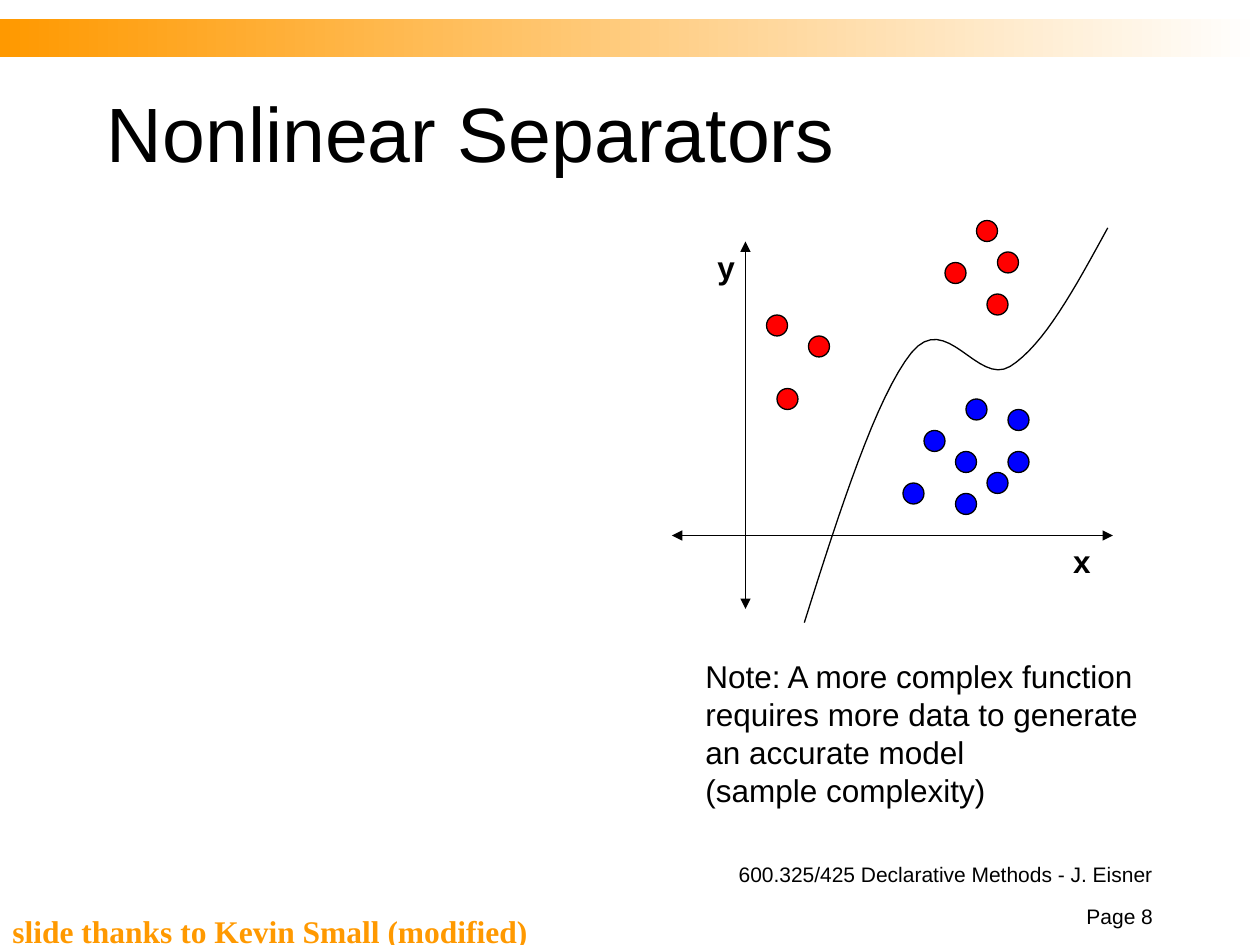
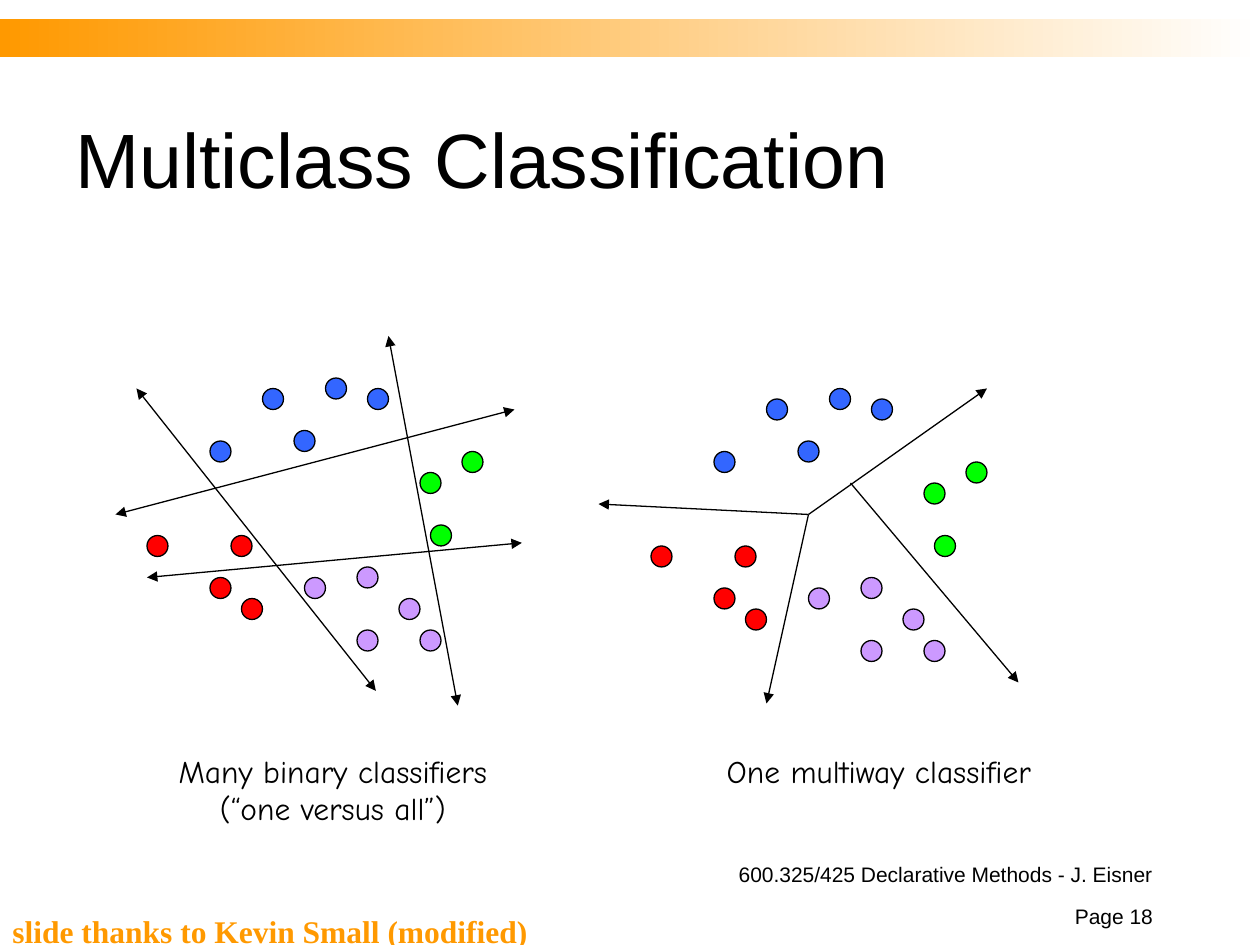
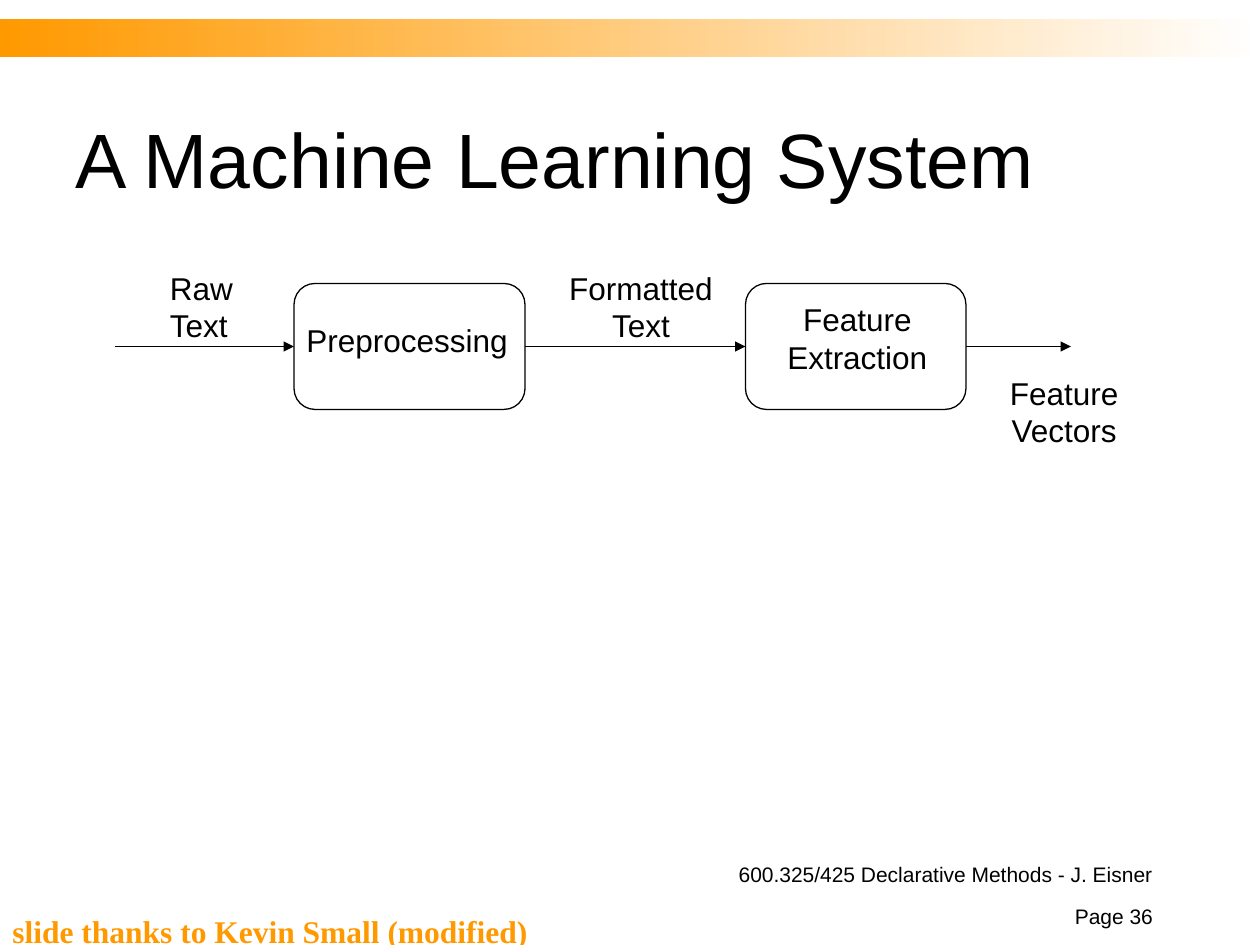
"""Build three machine learning lecture slides on a grid of twelfths of an inch."""
from dataclasses import dataclass

from lxml.etree import SubElement
from pptx import Presentation
from pptx.dml.color import RGBColor
from pptx.enum.shapes import MSO_CONNECTOR, MSO_SHAPE
from pptx.enum.text import MSO_ANCHOR, MSO_AUTO_SIZE, PP_ALIGN
from pptx.oxml.ns import qn
from pptx.presentation import Presentation as Deck
from pptx.shapes.autoshape import Shape
from pptx.shapes.connector import Connector
from pptx.slide import Slide
from pptx.util import Cm, Length, Pt

COLORS = {
    "black": "000000", "white": "FFFFFF", "orange": "FF9900",
    "red": "FF0000", "blue": "0000FF", "sky": "3366FF",
    "green": "00FF00", "purple": "CC99FF",
}
LINE_WIDTH = Pt(0.75)
DOT_SIZE = 2
CURVE_STEPS = 16
TOP, LEFT, BOTTOM, RIGHT = range(4)
Point = tuple[float, float]


@dataclass(frozen=True)
class Label:
    """A text box with its place in grid units and its style."""
    text: str
    left: float
    top: float
    width: float
    height: float
    size: int = 18
    font: str = "Arial"
    color: str = "black"
    bold: bool = False
    align: PP_ALIGN = PP_ALIGN.LEFT
    anchor: MSO_ANCHOR = MSO_ANCHOR.TOP
    wrap: bool = False
    space_before: float = 0


@dataclass(frozen=True)
class Line:
    """A straight arrow with one or two heads."""
    start: Point
    end: Point
    double: bool = False


@dataclass(frozen=True)
class Cluster:
    """Data points of one class, given by their top left corners."""
    color: str
    points: tuple[Point, ...]


@dataclass(frozen=True)
class Stage:
    """A rounded box of the processing chain."""
    left: float
    width: float
    top: float = 27
    height: float = 12


SEPARABLE_CLUSTERS = (
    Cluster("red", ((94, 28), (95, 24), (90, 25), (93, 21), (73, 30), (77, 32), (74, 37))),
    Cluster("blue", ((94, 45), (91, 47), (96, 43), (91, 43), (86, 46), (96, 39),
                     (92, 38), (88, 41))),
)
AXES = (Line((64, 51), (106, 51), True), Line((71, 23), (71, 58), True))
SEPARATOR = (
    (76.6, 59.3), (80, 48.5), (83.5, 37.7), (86.8, 33.6), (90.1, 29.5),
    (93.1, 36.8), (96.2, 34.9), (99.4, 32.9), (102.4, 27.4), (105.5, 21.7),
)
SEPARATOR_LABELS = (
    Label("x", 101, 51, 4.1, 4.8, bold=True, align=PP_ALIGN.CENTER),
    Label("y", 67.1, 23, 4.1, 4.8, bold=True, align=PP_ALIGN.CENTER),
    Label("Note: A more complex function\nrequires more data to generate\n"
          "an accurate model\n(sample complexity)", 66, 62, 43.6, 15.6),
)

MULTICLASS_CLUSTERS = (
    Cluster("sky", ((35, 37), (20, 42), (28, 41), (25, 37), (31, 36))),
    Cluster("red", ((14, 51), (22, 51), (20, 55), (23, 57))),
    Cluster("green", ((44, 43), (41, 50), (40, 45))),
    Cluster("purple", ((40, 60), (29, 55), (34, 54), (34, 60), (38, 57))),
)
MULTIWAY_OFFSET = (48, 1)
BINARY_LINES = (
    Line((11, 49), (49, 39), True),
    Line((37, 32), (43.6, 67.2), True),
    Line((13, 37), (35.8, 65.8), True),
    Line((14, 55), (49.7, 51.7), True),
)
MULTIWAY_LINES = (
    Line((77, 49), (94, 37)),
    Line((77, 49), (57, 48)),
    Line((77, 49), (73, 67)),
    Line((81, 46), (97, 65)),
)
CLASSIFIER_LABELS = (
    Label("Many binary classifiers\v(“one versus all”)", 15.8, 71, 31.8, 8.4,
          font="Comic Neue", align=PP_ALIGN.CENTER),
    Label("One multiway classifier", 68, 71, 31.4, 4.8,
          font="Comic Neue", align=PP_ALIGN.CENTER),
)

STAGES = (Stage(28, 22), Stage(71, 21))
FLOWS = (Line((11, 33), (28, 33)), Line((50, 33), (71, 33)), Line((92, 33), (102, 33)))
SYSTEM_LABELS = (
    Label("Preprocessing", 28, 30, 21.6, 4.8),
    Label("Feature\nExtraction", 73.8, 28, 15.7, 8.4, align=PP_ALIGN.CENTER),
    Label("Raw\nText", 15, 25, 8.4, 8.4),
    Label("Formatted\nText", 53, 25, 16.1, 8.4, align=PP_ALIGN.CENTER),
    Label("Feature\nVectors", 95, 35, 12.7, 8.4, align=PP_ALIGN.CENTER),
)


def grid(units: float) -> Length:
    """Convert grid units to a length."""
    return Cm(units * 2.54 / 12)


def rgb(name: str) -> RGBColor:
    """Look up a named colour."""
    return RGBColor.from_string(COLORS[name])


def add_label(page: Slide, label: Label) -> None:
    """Draw one text box."""
    box = page.shapes.add_textbox(
        grid(label.left), grid(label.top), grid(label.width), grid(label.height))
    frame = box.text_frame
    frame.text = label.text
    frame.word_wrap = label.wrap
    frame.auto_size = MSO_AUTO_SIZE.NONE if label.wrap else MSO_AUTO_SIZE.SHAPE_TO_FIT_TEXT
    frame.vertical_anchor = label.anchor
    for para in frame.paragraphs:
        para.alignment = label.align
        para.space_before = Pt(label.space_before)
        for span in para.runs:
            span.font.size = Pt(label.size)
            span.font.name = label.font
            span.font.bold = label.bold
            span.font.color.rgb = rgb(label.color)


def add_labels(page: Slide, labels: tuple[Label, ...]) -> None:
    """Draw several text boxes."""
    for label in labels:
        add_label(page, label)


def outline(shape: Shape | Connector) -> None:
    """Give a shape the thin black line."""
    shape.line.color.rgb = rgb("black")
    shape.line.width = LINE_WIDTH


def add_line(page: Slide, line: Line) -> Connector:
    """Draw one arrow."""
    connector = page.shapes.add_connector(
        MSO_CONNECTOR.STRAIGHT, *map(grid, line.start + line.end))
    outline(connector)
    properties = connector.line._get_or_add_ln()
    for tag in ("a:headEnd", "a:tailEnd") if line.double else ("a:tailEnd",):
        SubElement(properties, qn(tag), type="triangle")
    SubElement(properties.getparent(), qn("a:effectLst"))
    return connector


def add_lines(page: Slide, lines: tuple[Line, ...]) -> list[Connector]:
    """Draw several arrows."""
    return [add_line(page, line) for line in lines]


def add_clusters(page: Slide, clusters: tuple[Cluster, ...], offset: Point = (0, 0)) -> None:
    """Draw the data points of each class, shifted by an offset."""
    for cluster in clusters:
        for left, top in cluster.points:
            dot = page.shapes.add_shape(
                MSO_SHAPE.OVAL, grid(left + offset[0]), grid(top + offset[1]),
                grid(DOT_SIZE), grid(DOT_SIZE))
            dot.shadow.inherit = False
            dot.fill.solid()
            dot.fill.fore_color.rgb = rgb(cluster.color)
            outline(dot)


def bezier(controls: tuple[Point, ...], share: float) -> Point:
    """Find the point at a share of a cubic curve."""
    rest = 1 - share
    weights = (rest ** 3, 3 * rest ** 2 * share, 3 * rest * share ** 2, share ** 3)
    return tuple(
        grid(sum(weight * value for weight, value in zip(weights, values)))
        for values in zip(*controls))


def add_curve(page: Slide, knots: tuple[Point, ...]) -> None:
    """Draw joined cubic curves as one open outline."""
    points = [
        bezier(knots[first:first + 4], step / CURVE_STEPS)
        for first in range(0, len(knots) - 1, 3)
        for step in range(1, CURVE_STEPS + 1)]
    builder = page.shapes.build_freeform(*map(grid, knots[0]))
    builder.add_line_segments(points, close=False)
    curve = builder.convert_to_shape()
    curve.shadow.inherit = False
    curve.fill.background()
    outline(curve)


def add_stage(page: Slide, stage: Stage) -> Shape:
    """Draw one rounded box."""
    box = page.shapes.add_shape(
        MSO_SHAPE.ROUNDED_RECTANGLE, grid(stage.left), grid(stage.top),
        grid(stage.width), grid(stage.height))
    box.shadow.inherit = False
    box.fill.background()
    outline(box)
    return box


def add_band(page: Slide) -> None:
    """Draw the fading band at the top."""
    band = page.shapes.add_shape(
        MSO_SHAPE.RECTANGLE, grid(0), grid(1.8), grid(120), grid(3.6))
    band.shadow.inherit = False
    band.line.fill.background()
    band.fill.gradient()
    band.fill.gradient_angle = 0
    for stop, position, name in zip(band.fill.gradient_stops, (0, 1), ("orange", "white")):
        stop.position = position
        stop.color.rgb = rgb(name)


def add_page(deck: Deck, title: Label, number: int) -> Slide:
    """Add a slide with band, title, footers and credit."""
    page = deck.slides.add_slide(deck.slide_layouts[6])
    add_band(page)
    add_labels(page, (
        title,
        Label("600.325/425 Declarative Methods - J. Eisner", 58, 82, 53, 3, size=12,
              align=PP_ALIGN.RIGHT, anchor=MSO_ANCHOR.BOTTOM, wrap=True),
        Label(f"Page {number}", 99, 86, 12, 3, size=12,
              align=PP_ALIGN.RIGHT, anchor=MSO_ANCHOR.BOTTOM, wrap=True),
        Label("slide thanks to Kevin Small (modified)", 0, 88, 100, 3,
              font="Times New Roman", color="orange", bold=True,
              anchor=MSO_ANCHOR.BOTTOM, wrap=True, space_before=11.2),
    ))
    return page


def make_title(text: str, left: float = 6, top: float = 6,
               width: float = 108, height: float = 18) -> Label:
    """Describe a slide title."""
    return Label(text, left, top, width, height, size=44,
                 anchor=MSO_ANCHOR.MIDDLE, wrap=True)


def add_separator_page(deck: Deck) -> None:
    """Show two classes parted by a curve."""
    page = add_page(deck, make_title("Nonlinear Separators", 9, 5, 102, 15), 8)
    add_lines(page, AXES)
    add_clusters(page, SEPARABLE_CLUSTERS)
    add_curve(page, SEPARATOR)
    add_labels(page, SEPARATOR_LABELS)


def add_multiclass_page(deck: Deck) -> None:
    """Compare binary classifiers with a multiway one."""
    page = add_page(deck, make_title("Multiclass Classification"), 18)
    add_clusters(page, MULTICLASS_CLUSTERS)
    add_clusters(page, MULTICLASS_CLUSTERS, MULTIWAY_OFFSET)
    add_lines(page, BINARY_LINES + MULTIWAY_LINES)
    add_labels(page, CLASSIFIER_LABELS)


def add_system_page(deck: Deck) -> None:
    """Show the chain from raw text to feature vectors."""
    page = add_page(deck, make_title("A Machine Learning System"), 36)
    boxes = [add_stage(page, stage) for stage in STAGES]
    flows = add_lines(page, FLOWS)
    for box, incoming, outgoing in zip(boxes, flows, flows[1:]):
        incoming.end_connect(box, LEFT)
        outgoing.begin_connect(box, RIGHT)
    add_labels(page, SYSTEM_LABELS)


def main() -> None:
    """Build and save the deck."""
    deck = Presentation()
    deck.slide_width = grid(120)
    deck.slide_height = grid(90)
    add_separator_page(deck)
    add_multiclass_page(deck)
    add_system_page(deck)
    deck.save("out.pptx")


if __name__ == "__main__":
    main()
